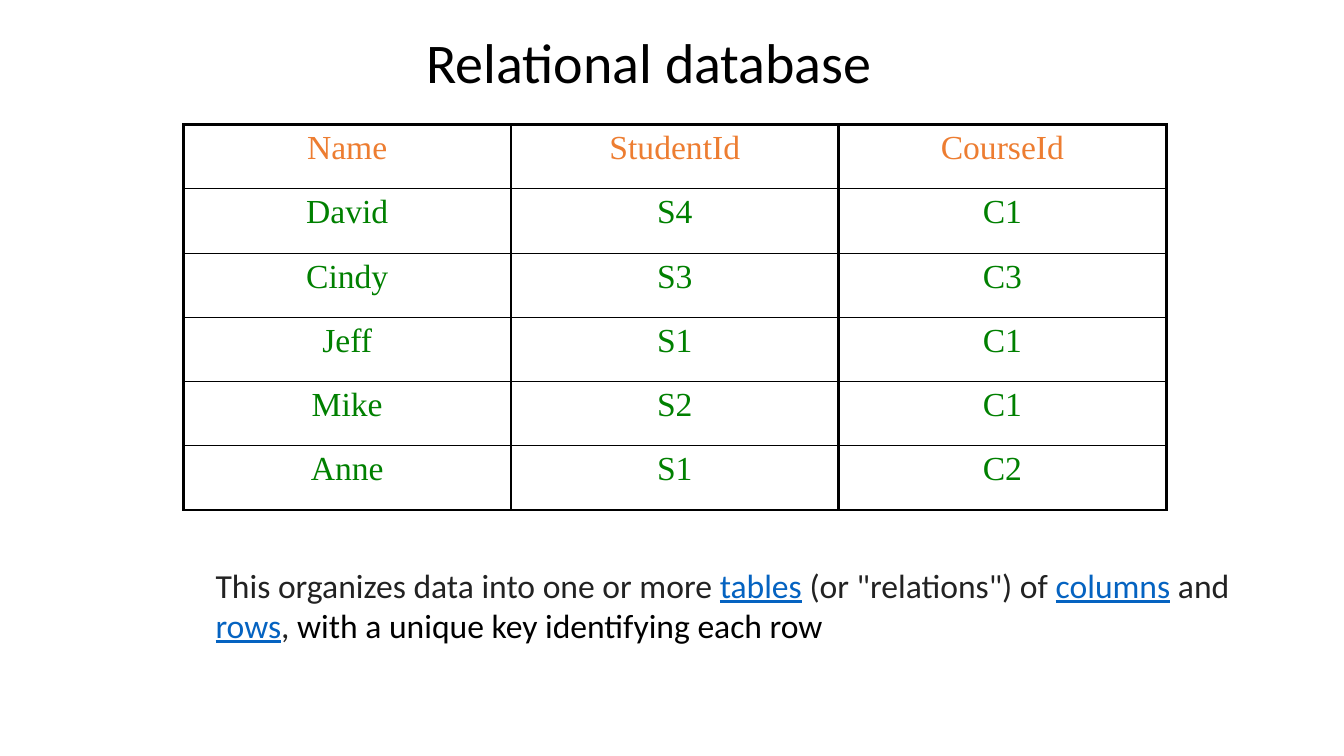
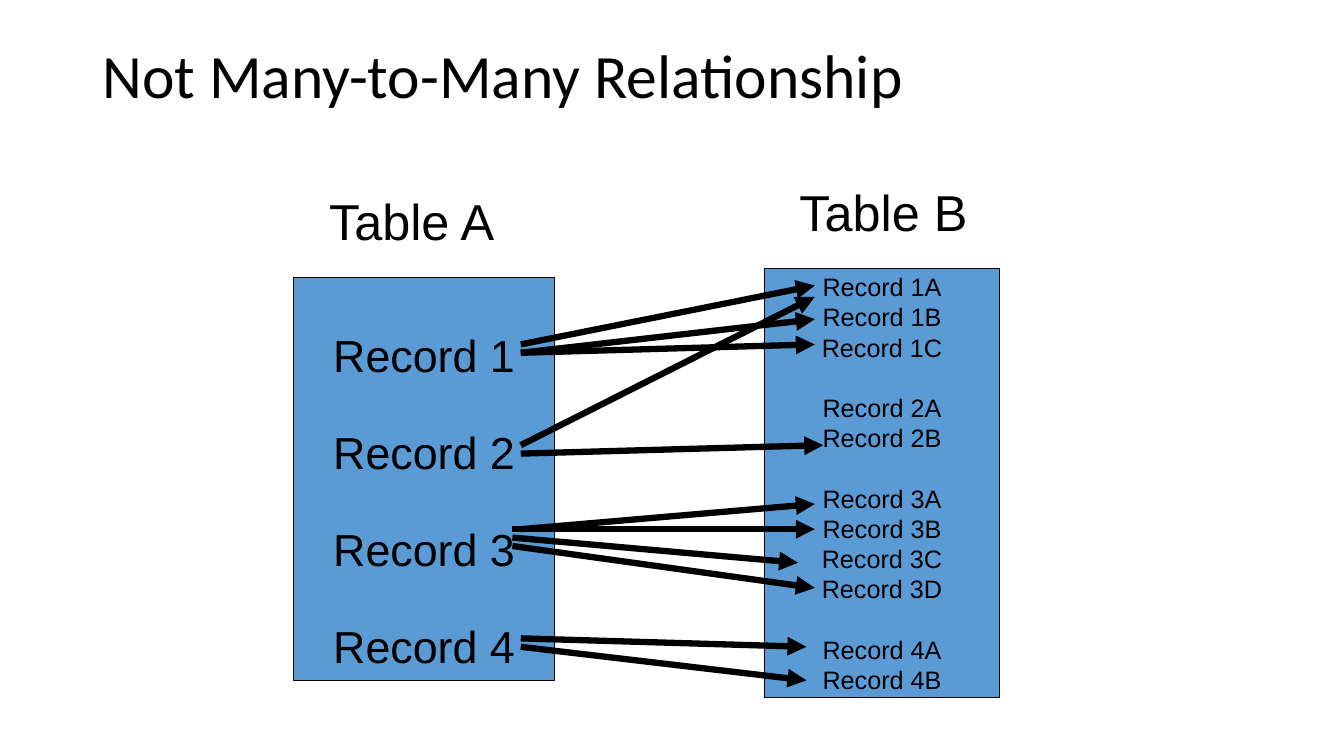
import pptx
import pptx.util
import pptx.dml.color
import pptx.enum.shapes
import pptx.enum.text
import pptx.oxml
import pptx.oxml.ns
import lxml.etree

Pt = pptx.util.Pt
RGBColor = pptx.dml.color.RGBColor
PP_ALIGN = pptx.enum.text.PP_ALIGN
MSO_ANCHOR = pptx.enum.text.MSO_ANCHOR

BLACK = RGBColor(0x00, 0x00, 0x00)
INK = RGBColor(0x22, 0x22, 0x22)
LINK = RGBColor(0x05, 0x63, 0xC1)
ORANGE = RGBColor(0xED, 0x7D, 0x31)
GREEN = RGBColor(0x00, 0x80, 0x00)
BLUE = RGBColor(0x5B, 0x9B, 0xD5)

presentation = pptx.Presentation()
presentation.slide_width = Pt(960)
presentation.slide_height = Pt(540)


def set_font(paragraph, name, size, color):
    paragraph.font.name = name
    paragraph.font.size = Pt(size)
    paragraph.font.color.rgb = color


def add_titled_slide(text, left, top, width, height, size, line_spacing):
    slide = presentation.slides.add_slide(presentation.slide_layouts[5])
    title = slide.shapes.title
    title.left, title.top, title.width, title.height = Pt(left), Pt(top), Pt(width), Pt(height)
    frame = title.text_frame
    frame.text = text
    frame.word_wrap = True
    frame.auto_size = pptx.enum.text.MSO_AUTO_SIZE.NONE
    frame.vertical_anchor = MSO_ANCHOR.TOP
    paragraph = frame.paragraphs[0]
    paragraph.alignment = PP_ALIGN.LEFT
    paragraph.line_spacing = line_spacing
    set_font(paragraph, "Calibri", size, BLACK)
    return slide


slide = add_titled_slide("Relational database", 297.4, 15.8, 344.9, 55.4, 40, 1.0)

students = [
    ("Name", "StudentId", "CourseId"),
    ("David", "S4", "C1"),
    ("Cindy", "S3", "C3"),
    ("Jeff", "S1", "C1"),
    ("Mike", "S2", "C1"),
    ("Anne", "S1", "C2"),
]
last_row = len(students) - 1
table = slide.shapes.add_table(len(students), 3, Pt(131), Pt(89), Pt(702), Pt(275.4)).table
table.first_row = False
table.horz_banding = False
for column in table.columns:
    column.width = Pt(234)
for row_index, student in enumerate(students):
    table.rows[row_index].height = Pt(45.9)
    for column_index, value in enumerate(student):
        cell = table.cell(row_index, column_index)
        cell.text = value
        cell.fill.background()
        paragraph = cell.text_frame.paragraphs[0]
        paragraph.alignment = PP_ALIGN.CENTER
        set_font(paragraph, "Times New Roman", 24, GREEN if row_index else ORANGE)
        borders = [
            ("lnL", 2.25),
            ("lnR", 2.25),
            ("lnT", 2.25 if row_index == 0 else 1),
            ("lnB", 2.25 if row_index == last_row else 1),
        ]
        properties = cell._tc.get_or_add_tcPr()
        for position, (tag, width) in enumerate(borders):
            border = pptx.oxml.parse_xml(
                f'<a:{tag} {pptx.oxml.ns.nsdecls("a")} w="{Pt(width)}">'
                f'<a:solidFill><a:srgbClr val="{BLACK}"/></a:solidFill></a:{tag}>'
            )
            properties.insert(position, border)

description = slide.shapes.add_textbox(Pt(146.9), Pt(399.6), Pt(766.8), Pt(65.5))
description.text_frame.word_wrap = True
paragraph = description.text_frame.paragraphs[0]
set_font(paragraph, "Calibri", 24, INK)
for text, color in [
    ("This organizes data into one or more ", INK),
    ("tables", LINK),
    (' (or "relations") of ', INK),
    ("columns", LINK),
    (" and ", INK),
    ("rows", LINK),
    (",", INK),
    (" with a unique key identifying each row", BLACK),
]:
    run = paragraph.add_run()
    run.text = text
    run.font.color.rgb = color
    if color == LINK:
        run.font.underline = True

slide = add_titled_slide("Not Many-to-Many Relationship", 66, 28.8, 828, 104.4, 44, 0.9)

record_tables = [
    ("Table A", (228, 132), (210, 198, 186, 288), 32, 69.2, [["1", "2", "3", "4"]]),
    ("Table B", (564, 126), (546, 192, 168, 306), 18, 21.6,
     [["1A", "1B", "1C"], ["2A", "2B"], ["3A", "3B", "3C", "3D"], ["4A", "4B"]]),
]
for name, label_position, box, size, line_height, groups in record_tables:
    rectangle = slide.shapes.add_shape(
        pptx.enum.shapes.MSO_SHAPE.RECTANGLE, *[Pt(length) for length in box])
    rectangle.shadow.inherit = False
    rectangle.fill.solid()
    rectangle.fill.fore_color.rgb = BLUE
    rectangle.line.color.rgb = BLACK
    rectangle.line.width = Pt(0.75)
    frame = rectangle.text_frame
    frame.word_wrap = True
    frame.vertical_anchor = MSO_ANCHOR.MIDDLE
    for group_index, group in enumerate(groups):
        for record_index, record in enumerate(group):
            first = group_index == 0 and record_index == 0
            paragraph = frame.paragraphs[0] if first else frame.add_paragraph()
            paragraph.text = f"Record {record}"
            paragraph.alignment = PP_ALIGN.CENTER
            paragraph.line_spacing = Pt(line_height)
            if group_index and record_index == 0:
                paragraph.space_before = Pt(line_height)
            set_font(paragraph, "Arial", size, BLACK)

    label = slide.shapes.add_textbox(*[Pt(length) for length in label_position], Pt(138), Pt(50.4))
    label.text_frame.word_wrap = True
    paragraph = label.text_frame.paragraphs[0]
    paragraph.text = name
    paragraph.line_spacing = Pt(43.2)
    set_font(paragraph, "Arial", 36, BLACK)

arrows = [
    (372, 246, 582, 204),
    (372, 252, 582, 228),
    (372, 252, 582, 246),
    (372, 318, 582, 212),
    (372, 324, 588, 318),
    (372, 378, 582, 360),
    (366, 378, 582, 378),
    (366, 384, 570, 402),
    (366, 390, 582, 420),
    (372, 456, 576, 462),
    (372, 462, 576, 486),
]
for ends in arrows:
    arrow = slide.shapes.add_connector(
        pptx.enum.shapes.MSO_CONNECTOR.STRAIGHT, *[Pt(length) for length in ends])
    arrow.line.color.rgb = BLACK
    arrow.line.width = Pt(4.5)
    head = lxml.etree.SubElement(arrow.line._get_or_add_ln(), pptx.oxml.ns.qn("a:tailEnd"))
    head.set("type", "triangle")
    lxml.etree.SubElement(arrow._element.spPr, pptx.oxml.ns.qn("a:effectLst"))

presentation.save("out.pptx")
